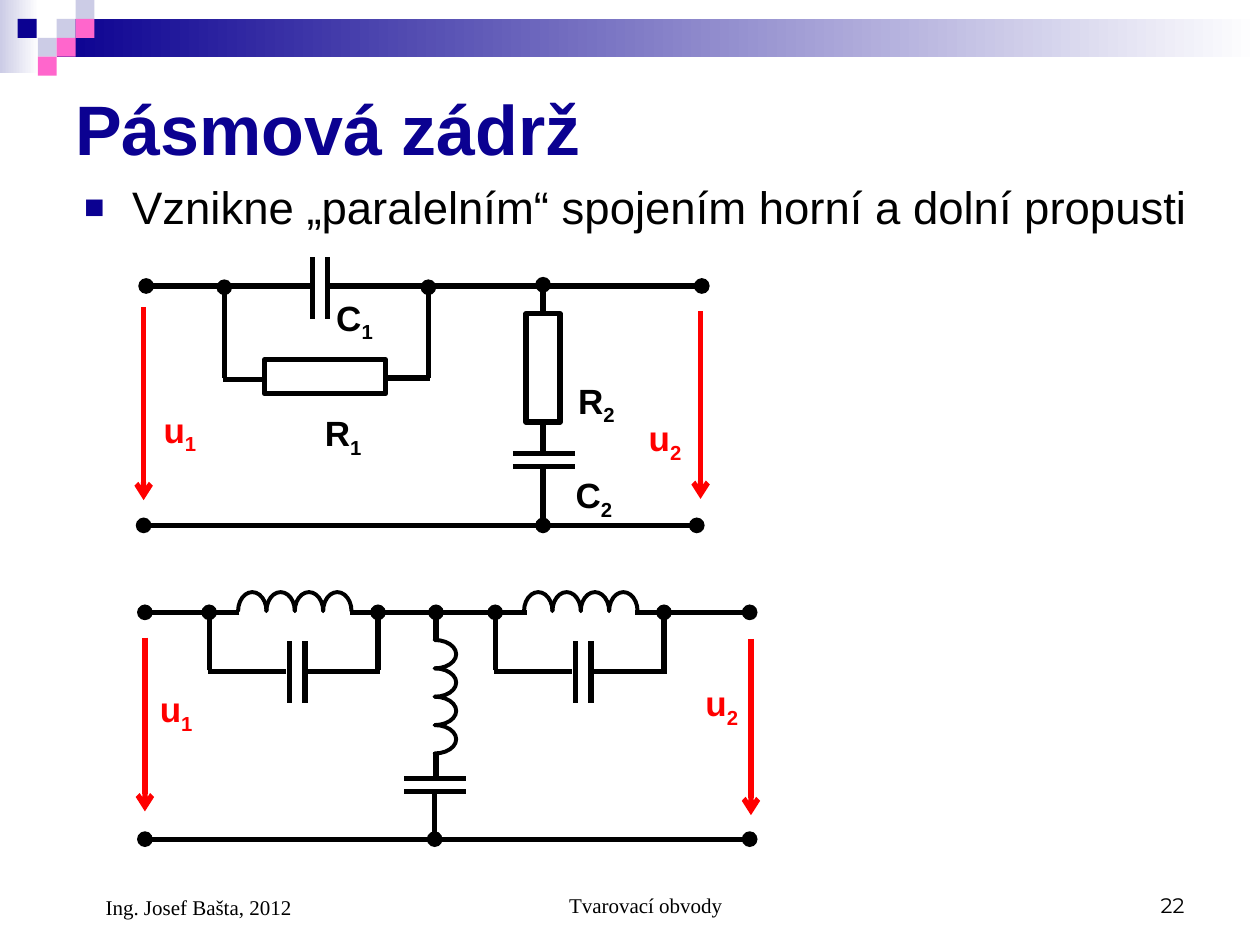
from dataclasses import dataclass

from lxml.etree import SubElement
from pptx import Presentation
from pptx.dml.color import RGBColor
from pptx.enum.shapes import MSO_CONNECTOR, MSO_SHAPE
from pptx.enum.text import MSO_ANCHOR, PP_ALIGN
from pptx.oxml.ns import qn
from pptx.util import Inches, Pt


@dataclass(frozen=True)
class Theme:
    navy: RGBColor = RGBColor(0x0B, 0x01, 0x91)
    pale: RGBColor = RGBColor(0xCC, 0xCC, 0xE6)
    pink: RGBColor = RGBColor(0xFF, 0x66, 0xCC)
    red: RGBColor = RGBColor(0xFF, 0, 0)
    black: RGBColor = RGBColor(0, 0, 0)
    white: RGBColor = RGBColor(0xFF, 0xFF, 0xFF)
    sans: str = "Arial"
    serif: str = "Times New Roman"
    number: str = "Montserrat"
    title_size: int = 40
    body_size: int = 26
    label_size: int = 20
    footer_size: int = 12
    wire_width: float = 3
    coil_width: float = 2.25


THEME = Theme()
LOOP = 0.9 / 4  # pitch of one coil loop


def add_paragraph_box(page, left, top, width, height, anchor=MSO_ANCHOR.TOP):
    box = page.shapes.add_textbox(Inches(left), Inches(top), Inches(width), Inches(height))
    box.text_frame.word_wrap = True
    box.text_frame.vertical_anchor = anchor
    return box.text_frame.paragraphs[0]


def add_span(para, text, size, color, face=THEME.sans, bold=False):
    span = para.add_run()
    span.text = text
    span.font.size = Pt(size)
    span.font.name = face
    span.font.bold = bold
    span.font.color.rgb = color
    return span


def add_block(page, left, top, width, height, color, fades=False):
    """A borderless rectangle; a fading one runs from its colour to white on the right."""
    block = page.shapes.add_shape(
        MSO_SHAPE.RECTANGLE, Inches(left), Inches(top), Inches(width), Inches(height))
    block.shadow.inherit = False
    block.line.fill.background()
    if not fades:
        block.fill.solid()
        block.fill.fore_color.rgb = color
        return
    block.fill.gradient()
    block.fill.gradient_angle = 180
    for stop, stop_color, position in zip(
            block.fill.gradient_stops, (THEME.white, color), (0, 1)):
        stop.color.rgb = stop_color
        stop.position = position


@dataclass
class Circuit:
    """Draws circuit symbols in inches from its own top left corner."""
    page: object
    left: float
    top: float

    def wire(self, x1, y1, x2, y2, head=None, tail=None, color=THEME.black):
        line = self.page.shapes.add_connector(
            MSO_CONNECTOR.STRAIGHT, Inches(self.left + x1), Inches(self.top + y1),
            Inches(self.left + x2), Inches(self.top + y2))
        line.line.width = Pt(THEME.wire_width)
        line.line.color.rgb = color
        outline = line._element.spPr.find(qn("a:ln"))
        for tag, kind in (("a:headEnd", head), ("a:tailEnd", tail)):
            if kind:
                SubElement(outline, qn(tag), type=kind)
        SubElement(line._element.spPr, qn("a:effectLst"))

    def voltage(self, x, y1, y2):
        self.wire(x, y1, x, y2, tail="arrow", color=THEME.red)

    def symbol(self, kind, center_x, center_y, width, height, line_width):
        shape = self.page.shapes.add_shape(
            kind, Inches(self.left + center_x - width / 2),
            Inches(self.top + center_y - height / 2), Inches(width), Inches(height))
        shape.shadow.inherit = False
        shape.fill.background()
        shape.line.color.rgb = THEME.black
        shape.line.width = Pt(line_width)
        return shape

    def resistor(self, center_x, center_y, width, height):
        self.symbol(MSO_SHAPE.RECTANGLE, center_x, center_y, width, height, THEME.wire_width)

    def coil(self, x, y, vertical=False):
        """Four half loops starting at x, y, going right or down."""
        for loop in range(4):
            along = LOOP * (loop + 0.5)
            center = (x, y + along) if vertical else (x + along, y)
            arc = self.symbol(MSO_SHAPE.BLOCK_ARC, *center, LOOP,
                              0.34 if vertical else 0.3, THEME.coil_width)
            arc.rotation = 90 if vertical else 0
            for index, value in enumerate((107.89, 0.11, 0)):
                arc.adjustments[index] = value

    def upright_plates(self, x, y):
        for plate in (x, x + 0.12):
            self.wire(plate, y, plate, y + 0.49)

    def flat_plates(self, x, y):
        for plate in (y, y + 0.1):
            self.wire(x, plate, x + 0.49, plate)

    def label(self, x, y, letter, index, color=THEME.black):
        para = add_paragraph_box(self.page, self.left + x, self.top + y, 0.6, 0.48)
        add_span(para, letter, THEME.label_size, color, bold=True)
        subscript = add_span(para, index, THEME.label_size, color, bold=True)
        subscript._r.get_or_add_rPr().set("baseline", "-25000")

    def tank(self, x):
        """A coil with a capacitor in parallel, tapped from the rail at x."""
        for tap in (x, x + 1.34):
            self.wire(tap, 0.62, tap, 0.16, tail="oval")
        self.coil(x + 0.23, 0.15)
        self.wire(x - 0.01, 0.63, x + 0.61, 0.63)
        self.wire(x + 0.74, 0.63, x + 1.36, 0.63)
        self.upright_plates(x + 0.64, 0.39)


def draw_rc_filter(page, left, top):
    circuit = Circuit(page, left, top)
    circuit.wire(1.33, 0.23, 0.02, 0.23, tail="oval")
    circuit.wire(1.47, 0.23, 4.43, 0.23, tail="oval")
    circuit.wire(0, 2.13, 4.39, 2.13, head="oval", tail="oval")
    circuit.upright_plates(1.34, 0)
    for tap in (0.64, 2.26):
        circuit.wire(tap, 0.96, tap, 0.24, tail="oval")
    circuit.wire(0.63, 0.97, 0.97, 0.97)
    circuit.wire(1.93, 0.96, 2.27, 0.96)
    circuit.resistor(1.44, 0.95, 0.96, 0.27)
    circuit.wire(3.17, 0.45, 3.17, 0.22, tail="oval")
    circuit.resistor(3.17, 0.88, 0.27, 0.86)
    circuit.wire(3.17, 1.31, 3.17, 1.56)
    circuit.flat_plates(2.93, 1.56)
    circuit.wire(3.17, 1.67, 3.17, 2.13, tail="oval")
    circuit.voltage(0, 0.4, 1.93)
    circuit.voltage(4.42, 0.43, 1.92)
    circuit.label(1.43, 0.26, "C", "1")
    circuit.label(1.34, 1.18, "R", "1")
    circuit.label(3.35, 0.92, "R", "2")
    circuit.label(3.33, 1.67, "C", "2")
    circuit.label(0.06, 1.15, "u", "1", THEME.red)
    circuit.label(3.91, 1.22, "u", "2", THEME.red)


def draw_lc_filter(page, left, top):
    circuit = Circuit(page, left, top)
    circuit.wire(0.75, 0.16, 0, 0.16, tail="oval")
    circuit.wire(1.63, 0.16, 3.03, 0.16)
    circuit.wire(3.89, 0.16, 4.8, 0.16, tail="oval")
    circuit.wire(0, 1.96, 4.8, 1.96, head="oval", tail="oval")
    for tap in (0.51, 2.78):
        circuit.tank(tap)
    circuit.wire(2.31, 0.38, 2.31, 0.16, tail="oval")
    circuit.coil(2.3, 0.38, vertical=True)
    circuit.wire(2.31, 1.27, 2.31, 1.5)
    circuit.flat_plates(2.06, 1.48)
    circuit.wire(2.3, 1.59, 2.3, 1.96, tail="oval")
    circuit.voltage(0, 0.36, 1.74)
    circuit.voltage(4.81, 0.37, 1.77)
    circuit.label(0.02, 0.71, "u", "1", THEME.red)
    circuit.label(4.35, 0.66, "u", "2", THEME.red)


def draw_banner(page, left, top):
    add_block(page, left, top, 0.31, 0.58, THEME.pale, fades=True)
    add_block(page, left + 0.45, top + 0.15, 9.55, 0.3, THEME.navy, fades=True)
    for x, y, color in ((0.45, 0.15, THEME.pale), (0.6, 0, THEME.pale),
                        (0.6, 0.15, THEME.pink), (0.3, 0.3, THEME.pale),
                        (0.14, 0.15, THEME.navy), (0.45, 0.3, THEME.pink),
                        (0.3, 0.45, THEME.pink)):
        add_block(page, left + x, top + y, 0.15, 0.15, color)


def write_heading(page, left, top):
    title = add_paragraph_box(page, left, top, 9, 1.03, MSO_ANCHOR.MIDDLE)
    add_span(title, "Pásmová zádrž", THEME.title_size, THEME.navy, bold=True)
    point = add_paragraph_box(page, left + 0.07, top + 0.87, 9, 0.75)
    layout = point._p.get_or_add_pPr()
    layout.set("marL", str(Inches(0.38)))
    layout.set("indent", str(-Inches(0.38)))
    SubElement(SubElement(layout, qn("a:buClr")), qn("a:srgbClr"), val=str(THEME.navy))
    SubElement(layout, qn("a:buSzPct"), val="75000")
    SubElement(layout, qn("a:buFont"), typeface=THEME.sans)
    SubElement(layout, qn("a:buChar"), char="■")
    add_span(point, "Vznikne „paralelním“ spojením horní a dolní propusti",
             THEME.body_size, THEME.black)


def write_footer(page, left, top):
    for x, width, height, text, face, align, indent in (
            (0, 2.33, 0.52, "Ing. Josef Bašta, 2012", THEME.serif, PP_ALIGN.LEFT, 0.24),
            (2.92, 3.17, 0.5, "Tvarovací obvody", THEME.serif, PP_ALIGN.CENTER, 0.24),
            (6.67, 2.33, 0.5, "22", THEME.number, PP_ALIGN.RIGHT, 0)):
        para = add_paragraph_box(page, left + x, top, width, height, MSO_ANCHOR.BOTTOM)
        para.alignment = align
        para._p.get_or_add_pPr().set("marL", str(Inches(indent)))
        add_span(para, text, THEME.footer_size, THEME.black, face)


def main():
    deck = Presentation()
    deck.slide_width, deck.slide_height = Inches(10), Inches(7.5)
    page = deck.slides.add_slide(deck.slide_layouts[6])
    draw_banner(page, 0, 0)
    write_heading(page, 0.5, 0.5)
    draw_lc_filter(page, 1.15, 4.7)
    draw_rc_filter(page, 1.14, 2.04)
    write_footer(page, 0.5, 6.83)
    deck.save("out.pptx")


if __name__ == "__main__":
    main()
